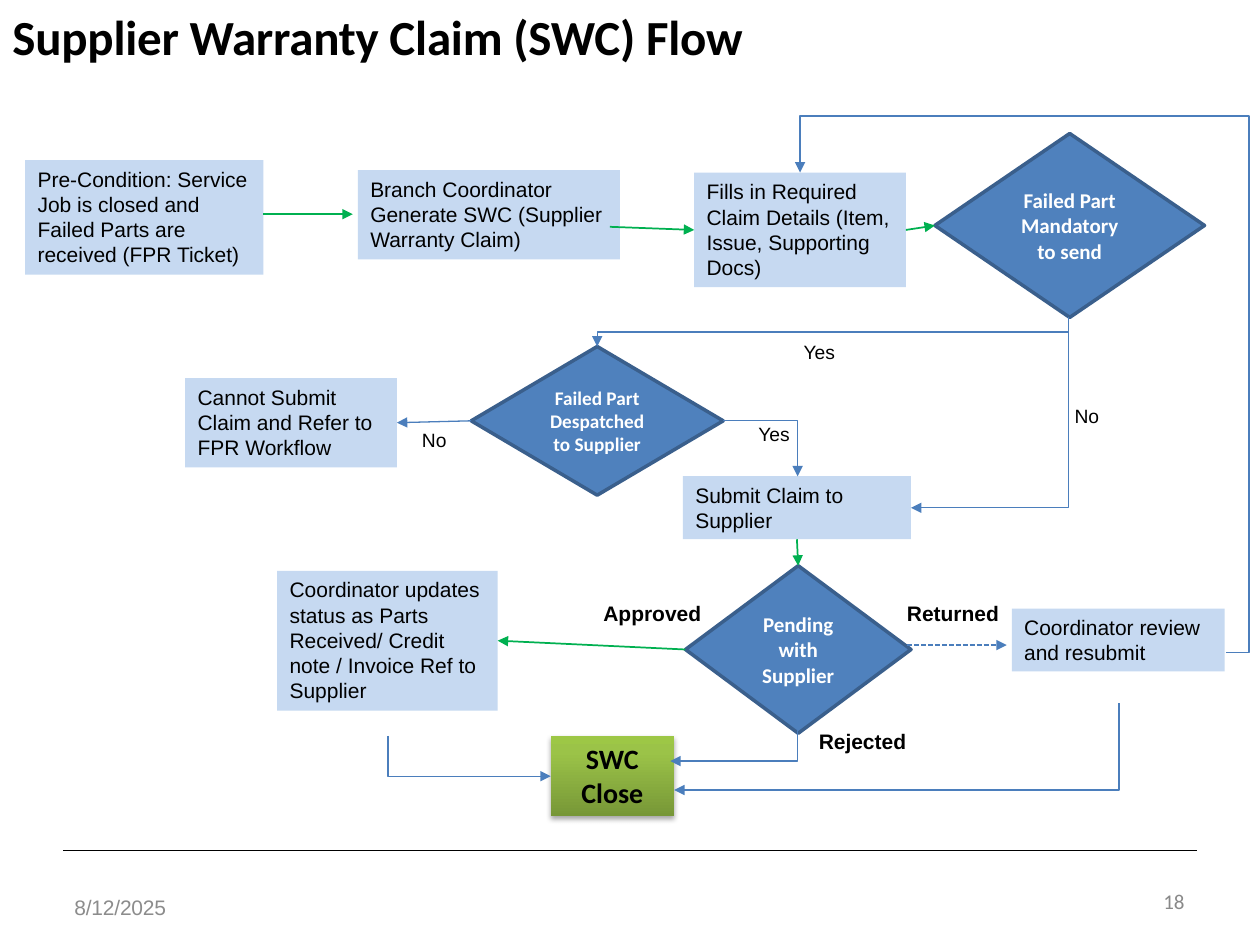
"""Build the Supplier Warranty Claim flow slide."""
from copy import deepcopy
from pptx import Presentation, util as u
from pptx.dml.color import RGBColor
from pptx.enum import shapes, text
from pptx.oxml import parse_xml
from pptx.oxml.ns import nsdecls, qn
from pptx.oxml.xmlchemy import OxmlElement

GREEN, BLUE, BLACK = "00B050", "4B7EBC", "000000"
LEFT, MID, RIGHT = text.PP_ALIGN.LEFT, text.PP_ALIGN.CENTER, text.PP_ALIGN.RIGHT
TOP, CORE = text.MSO_ANCHOR.TOP, text.MSO_ANCHOR.MIDDLE

STEPS = {
    "branch": (2.84, 1.35, 2.08, 0.71, "Branch Coordinator Generate SWC (Supplier Warranty Claim)"),
    "fill": (5.51, 1.37, 1.68, 0.91, "Fills in Required Claim Details (Item, Issue, Supporting Docs)"),
    "submit": (5.42, 3.78, 1.81, 0.5, "Submit Claim to Supplier"),
    "update": (2.2, 4.53, 1.75, 1.11,
               "Coordinator updates status as Parts Received/ Credit note / Invoice Ref to Supplier"),
    "review": (8.03, 4.83, 1.69, 0.5, "Coordinator review and resubmit"),
    "refer": (1.47, 3, 1.68, 0.71, "Cannot Submit Claim and Refer to FPR Workflow"),
    "start": (0.2, 1.27, 1.89, 0.91,
              "Pre-Condition: Service Job is closed and Failed Parts are received (FPR Ticket)"),
}
TESTS = {
    "pending": (5.44, 4.49, 1.79, 1.33, "Pending with Supplier", 12),
    "needed": (7.42, 1.06, 2.14, 1.46, "Failed Part Mandatory to send", 12),
    "sent": (3.74, 2.75, 2, 1.18, "Failed Part Despatched to Supplier", 11),
}
CLOSE = (4.37, 5.84, 0.98, 0.64, "SWC Close")
STOPS = [(0, "779737"), (0.8, "9BC348"), (1, "9DC746")]
LABELS = [
    (4.69, 4.72, 0.99, "Approved", True), (7.1, 4.72, 0.94, "Returned", True),
    (6.4, 5.73, 0.9, "Rejected", True), (6.28, 2.65, 0.47, "Yes", False),
    (8.43, 3.16, 0.4, "No", False), (5.92, 3.3, 0.47, "Yes", False),
    (3.25, 3.35, 0.4, "No", False),
]
JOINS = [
    ("submit", 2, "pending", 0, GREEN, 1), ("pending", 1, "update", 3, GREEN, 1),
    ("fill", 3, "needed", 1, GREEN, 1), ("sent", 1, "refer", 3, BLUE, 0.75),
]
BENDS = [
    ((3.08, 5.84), (4.37, 6.16), 2, True, ()),
    ((8.88, 5.58), (5.35, 6.27), 2, True, ()),
    ((6.33, 5.79), (5.32, 6.04), 2, True, ()),
    ((8.48, 2.52), (4.74, 2.75), 3, True, ()),
    ((5.74, 3.34), (6.33, 3.78), 2, False, ()),
    ((8.48, 2.52), (7.23, 4.03), 2, True, ()),
    ((9.73, 5.18), (6.35, 1.37), 4, False, (-5400, 111800)),
]

deck = Presentation()
deck.slide_width, deck.slide_height = u.Inches(10), u.Inches(7.5)
slide = deck.slides.add_slide(deck.slide_layouts[6])
pool = slide.shapes


def rgb(code):
    return RGBColor.from_string(code)


def write(shape, words, size, face="Arial", color=BLACK, bold=False,
          align=LEFT, anchor=TOP, wrap=True, space=0, inset=None):
    frame = shape.text_frame
    look = {"word_wrap": wrap, "vertical_anchor": anchor}
    if inset is not None:
        look |= {f"margin_{side}": inset for side in ("left", "right", "top", "bottom")}
    for key, value in look.items():
        setattr(frame, key, value)
    para = frame.paragraphs[0]
    para.alignment = align
    run = para.add_run()
    run.text = words
    for key, value in {"size": u.Pt(size), "name": face, "bold": bold}.items():
        setattr(run.font, key, value)
    run.font.color.rgb = rgb(color)
    if space:
        run._r.get_or_add_rPr().set("spc", str(space))
    return para


def note(x, y, w, h, words, size, **look):
    return write(pool.add_textbox(*map(u.Inches, (x, y, w, h))), words, size, **look)


def block(kind, spot, fill=None, edge=None):
    shape = pool.add_shape(kind, *map(u.Inches, spot))
    shape.shadow.inherit = False
    if fill:
        shape.fill.solid()
        shape.fill.fore_color.rgb = rgb(fill)
    if edge:
        shape.line.color.rgb, shape.line.width = rgb(edge), u.Pt(2)
    else:
        shape.line.fill.background()
    return shape


def link(a, b, color, width, kind=shapes.MSO_CONNECTOR.STRAIGHT, head=True, dash=None):
    line = pool.add_connector(kind, *map(u.Inches, (*a, *b)))
    line.line.color.rgb, line.line.width = rgb(color), u.Pt(width)
    ends = ([("a:prstDash", dash)] if dash else []) + ([("a:tailEnd", "triangle")] if head else [])
    for tag, value in ends:
        part = OxmlElement(tag)
        part.set("val" if tag == "a:prstDash" else "type", value)
        line.line._get_or_add_ln().append(part)
    line._element.spPr.append(OxmlElement("a:effectLst"))
    return line


def bend(a, b, legs, down, marks):
    (ax, ay), (bx, by) = a, b
    turn = 0
    if down:
        turn = 90 if bx < ax else 270
        midx, midy = (ax + bx) / 2, (ay + by) / 2
        dx = (by - ay) / 2 * (1 if turn == 90 else -1)
        dy = abs(bx - ax) / 2
        a, b = (midx - dx, midy - dy), (midx + dx, midy + dy)
    props = link(a, b, BLUE, 0.75, shapes.MSO_CONNECTOR.ELBOW)._element.spPr
    if turn:
        props.find(qn("a:xfrm")).set("rot", str(turn * 60000))
    form = props.find(qn("a:prstGeom"))
    form.set("prst", f"bentConnector{legs}")
    for num, mark in enumerate(marks, 1):
        guide = OxmlElement("a:gd")
        guide.set("name", f"adj{num}")
        guide.set("fmla", f"val {mark}")
        form.find(qn("a:avLst")).append(guide)


def close():
    *spot, words = CLOSE
    shape = block(shapes.MSO_SHAPE.RECTANGLE, spot)
    shape.fill.gradient()
    shape.fill.gradient_angle = 90
    last = shape.fill.gradient_stops[1]._gs
    last.addnext(deepcopy(last))
    for stop, (place, color) in zip(shape.fill.gradient_stops, STOPS):
        stop.position, stop.color.rgb = place, rgb(color)
    shape._element.spPr.find(qn("a:effectLst")).append(parse_xml(
        f'<a:outerShdw {nsdecls("a")} blurRad="{u.Pt(3.1)}" dist="{u.Pt(1.8)}" dir="5400000" '
        'rotWithShape="0"><a:srgbClr val="000000"><a:alpha val="35000"/></a:srgbClr></a:outerShdw>'))
    write(shape, words, 16, face="Calibri", bold=True, align=MID)


def main():
    link((0.5, 6.75), (9.5, 6.75), BLACK, 0.75, head=False)
    note(0, 0, 8.65, 0.57, "Supplier Warranty Claim (SWC) Flow", 28,
         face="Calibri", bold=True, space=-10)
    nodes = {}
    for name, (*spot, words) in STEPS.items():
        nodes[name] = block(shapes.MSO_SHAPE.RECTANGLE, spot, "C6D9F1")
        write(nodes[name], words, 12)
    for name, (*spot, words, size) in TESTS.items():
        nodes[name] = block(shapes.MSO_SHAPE.DIAMOND, spot, "4F81BD", "3A5F8C")
        write(nodes[name], words, size, face="Calibri", color="FFFFFF", bold=True,
              align=MID, anchor=CORE)
    close()
    for x, y, w, words, bold in LABELS:
        note(x, y, w, 0.3, words, 12 if bold else 11, bold=bold, wrap=False)
    for first, out, then, into, color, width in JOINS:
        line = link((0, 0), (1, 1), color, width)
        line.begin_connect(nodes[first], out)
        line.end_connect(nodes[then], into)
    link((4.84, 1.8), (5.51, 1.82), GREEN, 1).end_connect(nodes["fill"], 1)
    link((2.09, 1.7), (2.8, 1.7), GREEN, 1)
    link((7.2, 5.12), (7.99, 5.12), BLUE, 1, dash="sysDash")
    for path in BENDS:
        bend(*path)
    date = note(0.59, 7.1, 0.85, 0.2, "8/12/2025", 12, color="8C8C8C",
                anchor=CORE, space=-10, inset=0)
    date.line_spacing = u.Pt(14.2)
    note(7.17, 6.95, 2.33, 0.4, "18", 12, face="Calibri", color="898989",
         align=RIGHT, anchor=CORE)
    deck.save("out.pptx")


if __name__ == "__main__":
    main()
